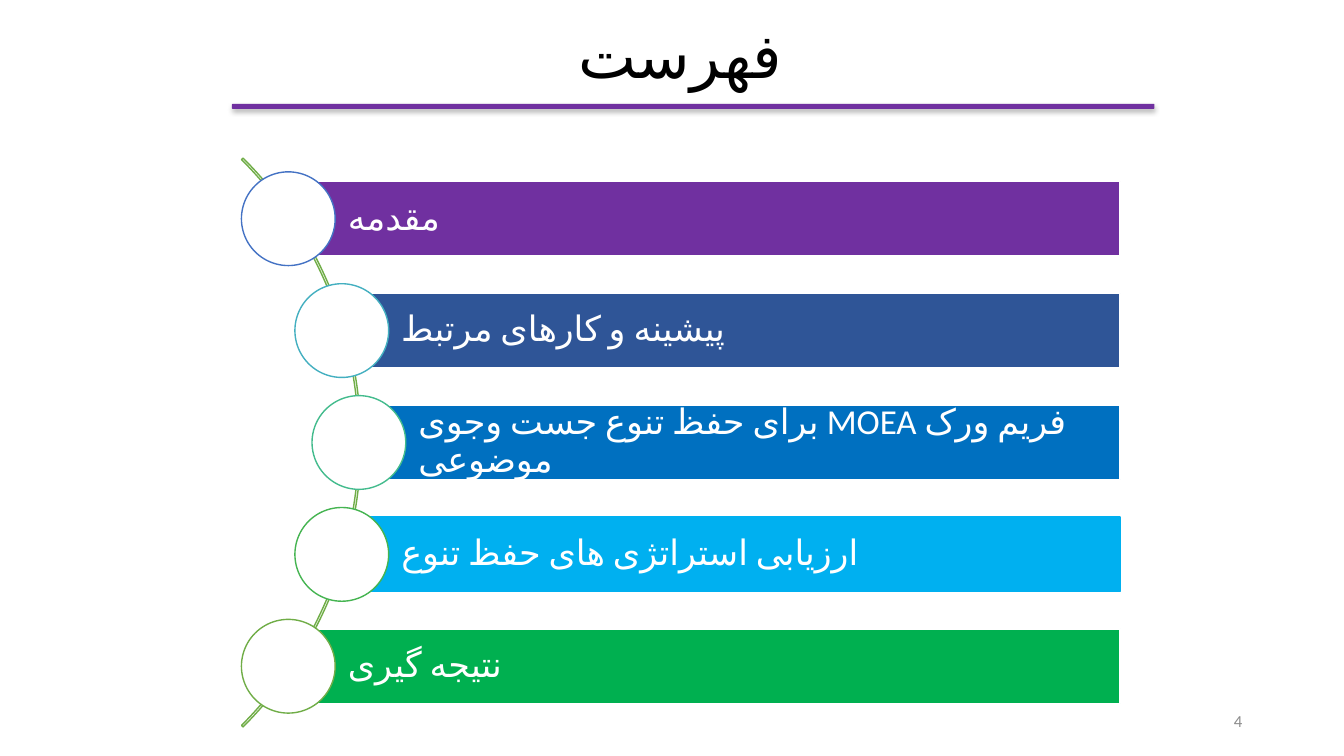
from lxml import etree
from pptx import Presentation
from pptx.dml.color import RGBColor
from pptx.enum.shapes import MSO_SHAPE as SHAPE
from pptx.enum.text import MSO_ANCHOR as ANCHOR, PP_ALIGN as ALIGN
from pptx.oxml import parse_xml
from pptx.oxml.ns import nsdecls, qn
from pptx.util import Inches, Pt

WHITE = RGBColor(0xFF, 0xFF, 0xFF)
BLACK = RGBColor(0x00, 0x00, 0x00)
GRAY = RGBColor(0x8C, 0x8C, 0x8C)
PURPLE = RGBColor(0x70, 0x30, 0xA0)
NAVY = RGBColor(0x2F, 0x55, 0x97)
BLUE = RGBColor(0x00, 0x70, 0xC0)
SKY = RGBColor(0x00, 0xB0, 0xF0)
GREEN = RGBColor(0x00, 0xB0, 0x50)
RING_BLUE = RGBColor(0x44, 0x72, 0xC4)
RING_CYAN = RGBColor(0x43, 0xAF, 0xC0)
RING_TEAL = RGBColor(0x43, 0xBB, 0x8D)
RING_GREEN = RGBColor(0x45, 0xB4, 0x51)
LEAF = RGBColor(0x70, 0xAD, 0x47)

FONT = "Calibri"
BAR_RIGHT, BAR_H, DOT = 11.11, 0.74, 0.93
FIRST_Y, STEP = 2.17, 1.11

prs = Presentation()
prs.slide_width, prs.slide_height = Inches(13.33), Inches(7.5)
s = prs.slides.add_slide(prs.slide_layouts[5])


def add_shape(kind, x, y, w, h, fill=None, line=None):
    sp = s.shapes.add_shape(kind, Inches(x), Inches(y), Inches(w), Inches(h))
    sp.shadow.inherit = False
    if fill is None:
        sp.fill.background()
    else:
        sp.fill.solid()
        sp.fill.fore_color.rgb = fill
    if line is None:
        sp.line.fill.background()
    else:
        sp.line.color.rgb = line
        sp.line.width = Pt(1)
    return sp


def write(sp, text, size, color, align, lang="fa-IR", rtl=False, spacing=0.9):
    tf = sp.text_frame
    tf.word_wrap = True
    tf.vertical_anchor = ANCHOR.MIDDLE
    p = tf.paragraphs[0]
    p.alignment = align
    p.line_spacing = spacing
    if rtl:
        p._p.get_or_add_pPr().set("rtl", "1")
    r = p.add_run()
    r.text = text
    for name, value in {"size": Pt(size), "name": FONT}.items():
        setattr(r.font, name, value)
    r.font.color.rgb = color
    rPr = r._r.get_or_add_rPr()
    rPr.set("lang", lang)
    etree.SubElement(rPr, qn("a:cs")).set("typeface", FONT)


title = s.shapes.title
box = {"left": 1.08, "top": 0.15, "width": 11.33, "height": 0.86}
for name, value in box.items():
    setattr(title, name, Inches(value))
write(title, "فهرست", 44, BLACK, ALIGN.CENTER, rtl=True)

number = s.shapes.add_textbox(Inches(9.42), Inches(6.95), Inches(3), Inches(0.4))
write(number, "4", 12, GRAY, ALIGN.RIGHT, lang="en-US", spacing=1.0)

rule = add_shape(SHAPE.ROUNDED_RECTANGLE, 2.3, 1.03, 9.15, 0.05, PURPLE)
effects = rule._element.spPr.find(qn("a:effectLst"))
effects.append(parse_xml(
    f'<a:outerShdw {nsdecls("a")} blurRad="{Pt(3.5)}" dist="{Pt(2.2)}" dir="5400000" '
    'rotWithShape="0"><a:srgbClr val="000000"><a:alpha val="32000"/></a:srgbClr></a:outerShdw>'))

arc = add_shape(SHAPE.BLOCK_ARC, -4.4, 0.4, 7.98, 7.98, line=LEAF)
for i, value in enumerate([189, 27, 0.0027]):
    arc.adjustments[i] = value

topics = [
    ("مقدمه", 2.86, PURPLE, WHITE, RING_BLUE),
    ("پیشینه و کارهای مرتبط", 3.39, NAVY, WHITE, RING_CYAN),
    ("فریم ورک MOEA برای حفظ تنوع جست وجوی موضوعی", 3.56, BLUE, WHITE, RING_TEAL),
    ("ارزیابی استراتژی های حفظ تنوع", 3.39, SKY, SKY, RING_GREEN),
    ("نتیجه گیری", 2.86, GREEN, WHITE, LEAF),
]
margins = {"margin_left": 0.59, "margin_top": 0.07, "margin_right": 0.07, "margin_bottom": 0.07}
for i, (text, x, fill, line, ring) in enumerate(topics):
    y = FIRST_Y + i * STEP
    bar = add_shape(SHAPE.RECTANGLE, x, y - BAR_H / 2, BAR_RIGHT - x, BAR_H, fill, line)
    for name, value in margins.items():
        setattr(bar.text_frame, name, Inches(value))
    write(bar, text, 25, WHITE, ALIGN.LEFT, rtl=i > 0)
    add_shape(SHAPE.OVAL, x - DOT / 2, y - DOT / 2, DOT, DOT, WHITE, ring)

prs.save("out.pptx")
